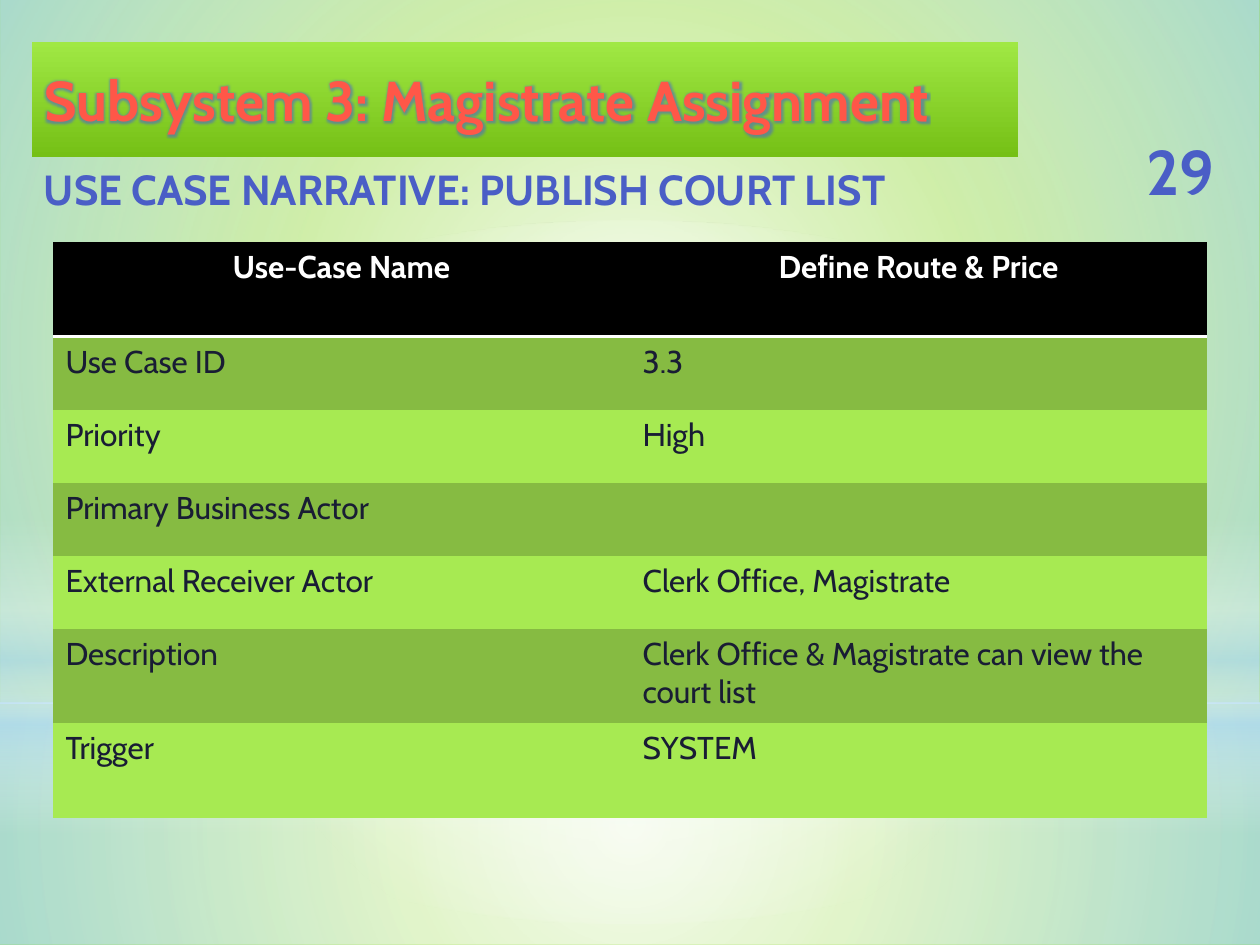
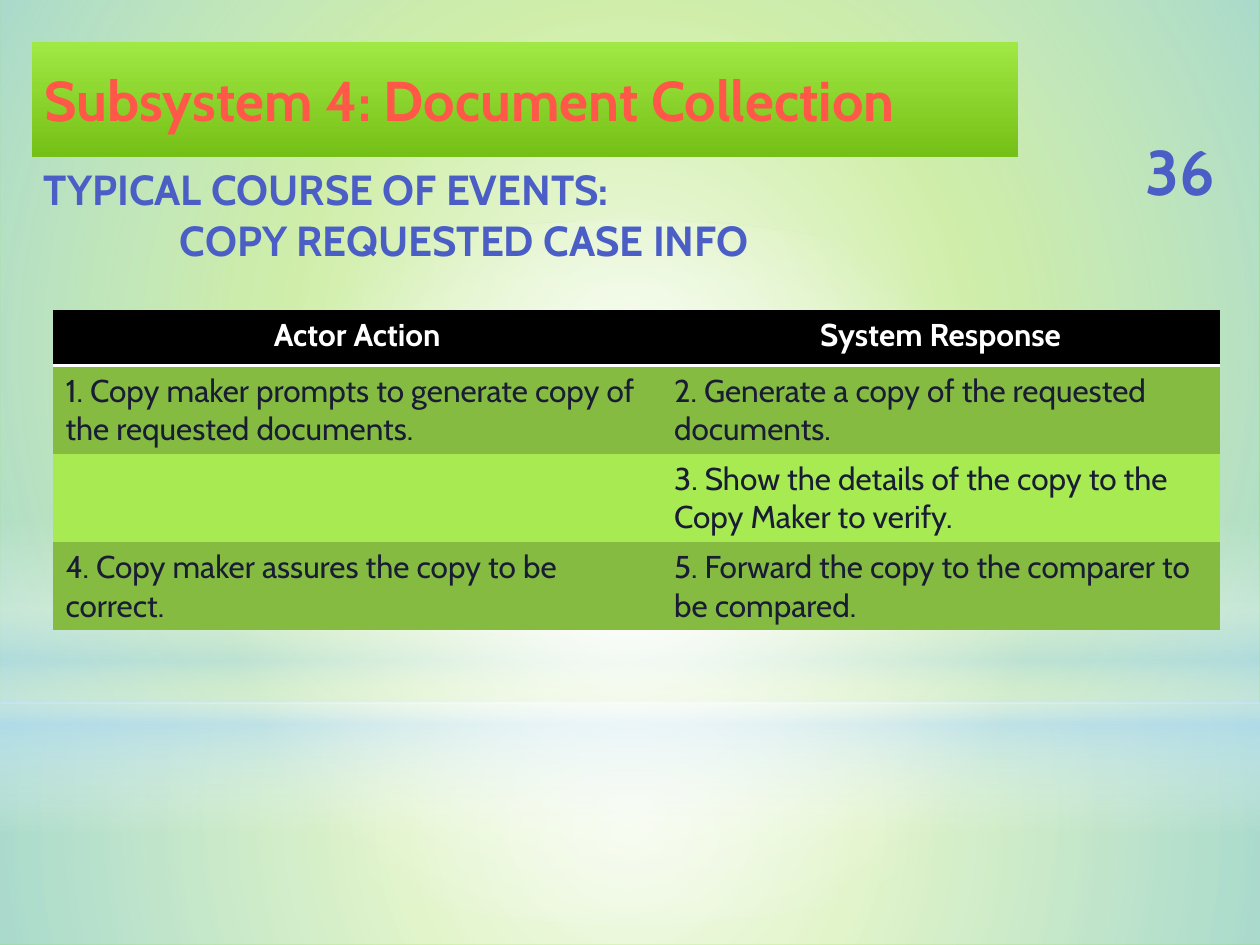
from lxml.etree import SubElement
from pptx import Presentation
from pptx.dml.color import RGBColor
from pptx.enum.shapes import MSO_SHAPE
from pptx.enum.text import MSO_ANCHOR, MSO_AUTO_SIZE, PP_ALIGN
from pptx.oxml.ns import qn
from pptx.util import Inches, Pt

FONT = "Cabin"
NO_GRID_STYLE = "{2D5ABB26-0587-4C30-8999-92F81FD0307C}"
WHITE, BLACK, INK = "FFFFFF", "000000", "191D34"
GREEN, SKY = "81D31A", "B4DCFA"
ROW_FILLS = ["86BB42", "A7EA52"]

# Gradients: stops of (position, colour, opacity) in percent
BAR = [(0, "A0E844", 100), (100, "75C016", 100)]
BLUE_TEXT = [(0, "717FD2", 100), (49, "4A5EC6", 100), (50, "324CB5", 100),
             (92, "31479D", 100), (100, "30469A", 100)]
RED_TEXT = [(0, "FF6155", 100), (25, "FF5748", 100), (50, "EF3718", 100),
            (75, "FF5748", 100), (100, "FF6155", 100)]
LOWER_GLOW = [(0, WHITE, 91), (37, WHITE, 76), (100, SKY, 79)]
UPPER_GLOW = [(0, WHITE, 89), (48, WHITE, 62), (100, SKY, 79)]
HORIZON = [(0, WHITE, 0), (29, WHITE, 30), (45, SKY, 40),
           (55, WHITE, 26), (65, SKY, 60), (100, WHITE, 0)]
CENTRE_LIGHT = [(0, WHITE, 100), (56, WHITE, 0)]

TITLE = {"name": FONT, "size": Pt(32), "bold": True}
HEADING = {"name": FONT, "size": Pt(24), "bold": True}
NUMBER = {"name": FONT, "size": Pt(36), "bold": True}
HEADER_CELL = {"name": FONT, "size": Pt(18), "bold": True}
BODY_CELL = {"name": FONT, "size": Pt(18), "bold": False}


def color(value):
    return RGBColor.from_string(value)


def add_color(parent, value, opacity=100):
    node = SubElement(parent, qn("a:srgbClr"), val=value)
    if opacity < 100:
        SubElement(node, qn("a:alpha"), val=str(opacity * 1000))


def paint(fill, paint_value, radial=False):
    """Fill with one hex colour or with a list of gradient stops."""
    if isinstance(paint_value, str):
        fill.solid()
        fill.fore_color.rgb = color(paint_value)
        return
    fill.gradient()
    gradient = fill._xPr.find(qn("a:gradFill"))
    for child in list(gradient):
        gradient.remove(child)
    stops = SubElement(gradient, qn("a:gsLst"))
    for position, value, opacity in paint_value:
        stop = SubElement(stops, qn("a:gs"), pos=str(position * 1000))
        add_color(stop, value, opacity)
    if radial:
        route = SubElement(gradient, qn("a:path"), path="circle")
        SubElement(route, qn("a:fillToRect"),
                   **{side: "50000" for side in "ltrb"})
    else:
        SubElement(gradient, qn("a:lin"), ang="5400000", scaled="0")


class CourtDeck:
    def __init__(self):
        self.deck = Presentation()
        self.deck.slide_width, self.deck.slide_height = Inches(10), Inches(7.5)
        self.page = None

    def new_page(self):
        self.page = self.deck.slides.add_slide(self.deck.slide_layouts[5])

    def add_span(self, paragraph, text, style, text_paint):
        span = paragraph.add_run()
        span.text = text
        for key, value in style.items():
            setattr(span.font, key, value)
        paint(span.font.fill, text_paint)
        return span

    def backdrop(self):
        """Put the shared background on the slide master."""
        master = self.deck.slide_master
        paint(master.background.fill, GREEN)
        layers = [
            (MSO_SHAPE.RECTANGLE, 5.58, 1.92, LOWER_GLOW, True),
            (MSO_SHAPE.RECTANGLE, 0, 5.58, UPPER_GLOW, True),
            (MSO_SHAPE.RECTANGLE, 4.12, 2.5, HORIZON, False),
            (MSO_SHAPE.OVAL, 1.75, 5.58, CENTRE_LIGHT, True),
        ]
        for index, (kind, top, height, stops, radial) in enumerate(layers):
            layer = self.page.shapes.add_shape(
                kind, 0, Inches(top), Inches(10), Inches(height))
            layer.shadow.inherit = False
            layer.line.fill.background()
            paint(layer.fill, stops, radial)
            layer.element.nvSpPr.cNvPr.set("id", str(100 + index))
            master.shapes.element.insert(2 + index, layer.element)

    def title(self, text, glow=False):
        bar = self.page.shapes.title
        bar.left, bar.top = Inches(0.25), Inches(0.33)
        bar.width, bar.height = Inches(7.83), Inches(0.92)
        outline = SubElement(bar.element.spPr, qn("a:prstGeom"), prst="roundRect")
        SubElement(outline, qn("a:avLst"))
        paint(bar.fill, BAR)
        frame = bar.text_frame
        frame.word_wrap = True
        frame.auto_size = MSO_AUTO_SIZE.NONE
        frame.vertical_anchor = MSO_ANCHOR.MIDDLE
        para = frame.paragraphs[0]
        para.alignment = PP_ALIGN.LEFT
        span = self.add_span(para, text, TITLE, RED_TEXT)
        if glow:
            properties = span.font._element
            effects = SubElement(properties, qn("a:effectLst"))
            halo = SubElement(effects, qn("a:glow"), rad="45500")
            add_color(halo, "4E67C8", 60)
            properties.find(qn("a:gradFill")).addnext(effects)

    def text_box(self, left, top, width, height):
        box = self.page.shapes.add_textbox(
            Inches(left), Inches(top), Inches(width), Inches(height))
        box.text_frame.word_wrap = True
        return box.text_frame

    def heading(self, lines, width, height):
        frame = self.text_box(0.25, 1.25, width, height)
        frame.auto_size = MSO_AUTO_SIZE.SHAPE_TO_FIT_TEXT
        for index, line in enumerate(lines):
            para = frame.add_paragraph() if index else frame.paragraphs[0]
            if index:
                para._p.get_or_add_pPr().set("marL", str(Inches(1.08)))
            self.add_span(para, line, HEADING, BLUE_TEXT)

    def number(self, text):
        frame = self.text_box(8.88, 1.08, 0.98, 0.54)
        frame.vertical_anchor = MSO_ANCHOR.MIDDLE
        para = frame.paragraphs[0]
        para.alignment = PP_ALIGN.CENTER
        self.add_span(para, text, NUMBER, BLUE_TEXT)

    def table(self, top, widths, heights, rows):
        frame = self.page.shapes.add_table(
            len(rows), len(widths), Inches(0.42), Inches(top),
            Inches(sum(widths)), Inches(sum(heights)))
        table = frame.table
        table._tbl.tblPr.find(qn("a:tableStyleId")).text = NO_GRID_STYLE
        for column, width in zip(table.columns, widths):
            column.width = Inches(width)
        for index, (row, height, texts) in enumerate(
                zip(table.rows, heights, rows)):
            row.height = Inches(height)
            for cell, text in zip(row.cells, texts):
                self.cell(cell, text, index)

    def cell(self, cell, text, row_index):
        para = cell.text_frame.paragraphs[0]
        if row_index == 0:
            paint(cell.fill, BLACK)
            para.alignment = PP_ALIGN.CENTER
            self.add_span(para, text, HEADER_CELL, WHITE)
            # White rule under the header
            properties = cell._tc.get_or_add_tcPr()
            rule = SubElement(properties, qn("a:lnB"), w=str(Pt(2)))
            add_color(SubElement(rule, qn("a:solidFill")), WHITE)
            properties.insert(0, rule)
        else:
            paint(cell.fill, ROW_FILLS[(row_index - 1) % 2])
            if text:
                self.add_span(para, text, BODY_CELL, INK)


def main():
    court = CourtDeck()

    # Use case narrative
    court.new_page()
    court.backdrop()
    court.title("Subsystem 3: Magistrate Assignment", glow=True)
    court.heading(["USE CASE NARRATIVE: PUBLISH COURT LIST"], 10.08, 0.5)
    court.number("29")
    court.table(1.92, [4.58, 4.58], [0.75] + [0.58] * 4 + [0.75] * 2, [
        ("Use-Case Name", "Define Route & Price"),
        ("Use Case ID", "3.3"),
        ("Priority", "High"),
        ("Primary Business Actor", ""),
        ("External Receiver Actor", "Clerk Office, Magistrate"),
        ("Description", "Clerk Office & Magistrate can view the court list"),
        ("Trigger", "SYSTEM"),
    ])

    # Typical course of events
    court.new_page()
    court.title("Subsystem 4: Document Collection")
    court.heading(["TYPICAL COURSE OF EVENTS:", "COPY REQUESTED CASE INFO"],
                  9.92, 0.91)
    court.number("36")
    court.table(2.46, [4.83, 4.43], [0.44] + [0.7] * 3, [
        ("Actor Action", "System Response"),
        ("1. Copy maker prompts to generate copy of the requested documents.",
         "2. Generate a copy of the requested documents."),
        ("", "3. Show the details of the copy to the Copy Maker to verify."),
        ("4. Copy maker assures the copy to be correct.",
         "5. Forward the copy to the comparer to be compared."),
    ])

    court.deck.save("out.pptx")


if __name__ == "__main__":
    main()
